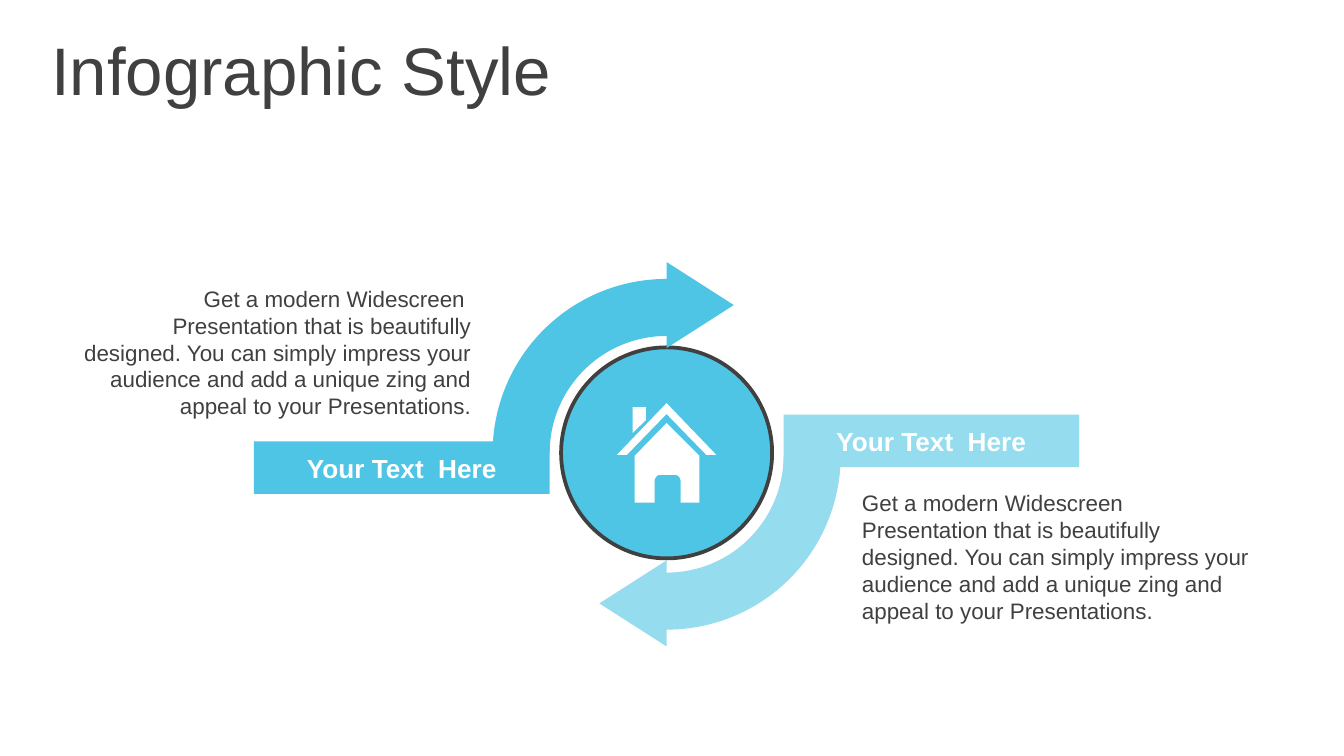
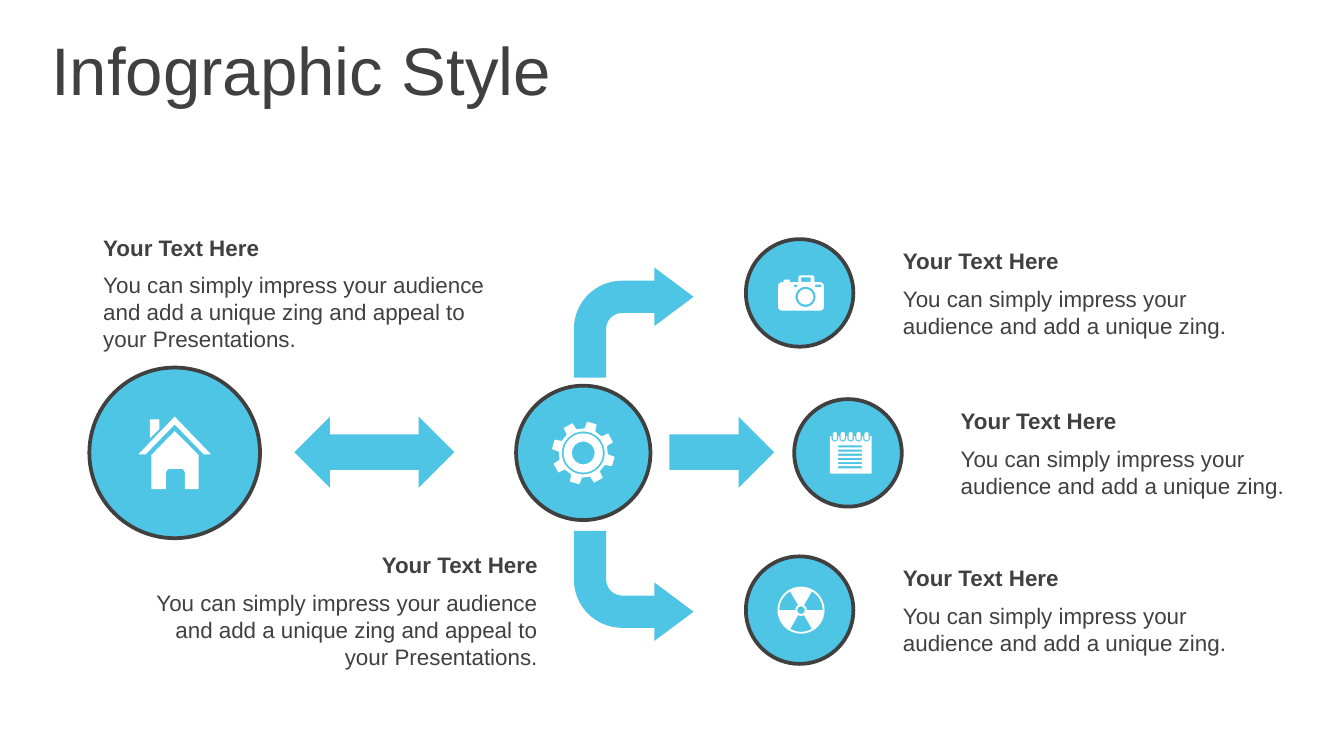
from dataclasses import dataclass
from math import cos, radians, sin

from pptx import Presentation, util as u
from pptx.dml.color import RGBColor
from pptx.enum import shapes, text
from pptx.oxml.ns import qn

KIND = shapes.MSO_SHAPE
SIDE = text.PP_ALIGN


@dataclass(frozen=True)
class Theme:
    font: str = "Arial"
    ink: str = "404040"
    main: str = "4FC5E5"
    pale: str = "95DCEF"
    white: str = "FFFFFF"
    title: int = 36
    label: int = 14
    body: int = 12
    rim: int = 2


T = Theme()
STORY = ("Get a modern Widescreen  Presentation that is beautifully designed. "
         "You can simply impress your audience and add a unique zing and "
         "appeal to your Presentations.")
LONG = ("You can simply impress your audience and add a unique zing "
        "and appeal to your Presentations.")
SHORT = "You can simply impress your audience and add a unique zing."


def rgb(code):
    return RGBColor.from_string(code)


def span(box):
    return [u.Inches(v) for v in box]


def mid(x, y, w, h):
    return x - w / 2, y - h / 2, w, h


def write(frame, words, size, color=T.ink, bold=False, side=SIDE.LEFT):
    frame.word_wrap = True
    frame.vertical_anchor = text.MSO_ANCHOR.MIDDLE
    frame.text = words
    para = frame.paragraphs[0]
    para.alignment = side
    for run in para.runs:
        font = run.font
        font.name, font.size, font.bold = T.font, u.Pt(size), bold
        font.color.rgb = rgb(color)


def words(slide, box, copy, size=T.body, **style):
    write(slide.shapes.add_textbox(*span(box)).text_frame, copy, size, **style)


def paint(item, color, rim=None):
    item.shadow.inherit = False
    item.fill.solid()
    item.fill.fore_color.rgb = rgb(color)
    if rim:
        item.line.color.rgb = rgb(rim)
        item.line.width = u.Pt(T.rim)
    else:
        item.line.fill.background()


def form(slide, kind, box, color=T.main, turn=0, adjust=(), rim=None):
    item = slide.shapes.add_shape(kind, *span(box))
    for i, value in enumerate(adjust):
        item.adjustments[i] = value
    item.rotation = turn
    paint(item, color, rim)
    return item


def arc(x, y, r, start=0, end=360, steps=32):
    turns = [radians(start + (end - start) * i / steps) for i in range(steps + 1)]
    return [(x + r * cos(a), y + r * sin(a)) for a in turns]


def rect(x, y, w, h):
    return [(x, y), (x + w, y), (x + w, y + h), (x, y + h)]


def pill(x, top, low, r):
    return arc(x, top + r, r, 180, 360, 12) + arc(x, low - r, r, 0, 180, 12)


def house():
    door = arc(.58, .78, .06, 0, -90, 8) + arc(.44, .78, .06, -90, -180, 8)
    wall = [(.5, .2), (.83, .53), (.83, 1), (.64, 1), *door,
            (.38, 1), (.18, 1), (.18, .53)]
    roof = [(.5, 0), (1, .52), (.9, .52), (.5, .11), (.1, .52), (0, .52)]
    flue = [(.16, .04), (.29, .04), (.29, .17), (.16, .3)]
    return [wall, roof, flue]


def gear():
    edge = []
    for i in range(8):
        a = 16 + 45 * i
        for r, turn in ((.39, -13), (.5, -9), (.5, 9), (.39, 13)):
            edge += arc(.5, .5, r, a + turn, a + turn, 1)[:1]
    return [edge] + [arc(.5, .5, r) for r in (.34, .31, .18)]


def camera():
    r = .08
    shell = [(.12, .15), (.12, .09), (.26, .09), (.26, .15), (.44, .15),
             (.44, .03), (.47, 0), (.76, 0), (.79, .03), (.79, .15)]
    for x, y, a in ((1 - r, .15 + r, -90), (1 - r, .77 - r, 0),
                    (r, .77 - r, 90), (r, .15 + r, 180)):
        shell += arc(x, y, r, a, a + 90, 8)
    return [shell, rect(.5, .04, .21, .1), rect(.35, .2, .06, .06),
            rect(.81, .2, .13, .06), arc(.6, .47, .22), arc(.6, .47, .17)]


def pad():
    rings = [.12 + .19 * i for i in range(5)]
    page = [(0, .1)]
    for x in rings:
        page += [(x - .08, .1), *arc(x, .15, .08, 180, 0, 12), (x + .08, .1)]
    page += [(1, .1), (1, 1), (0, 1)]
    lines = [rect(.2, .32 + .1 * i, .57, .05) for i in range(6)]
    return [page, *lines, *(pill(x, 0, .2, .05) for x in rings)]


def hazard():
    blades = [arc(.5, .5, .46, a - 30, a + 30) + arc(.5, .5, .12, a + 30, a - 30)
              for a in (90, 210, 330)]
    return [arc(.5, .5, .5), *blades, arc(.5, .5, .08)]


def icon(slide, x, y, size, loops):
    high = max(point[1] for loop in loops for point in loop)
    loops = [[(px * size * 1000, py * size * 1000) for px, py in loop]
             for loop in loops]
    pen = slide.shapes.build_freeform(*loops[0][0], scale=u.Inches(1) / 1000)
    for i, loop in enumerate(loops):
        if i:
            pen.move_to(*loop[0])
        pen.add_line_segments(loop[1:], close=True)
    left, top = x - size / 2, y - size * high / 2
    paint(pen.convert_to_shape(u.Inches(left), u.Inches(top)), T.white)


def badge(slide, x, y, wide, size, loops, shift=0):
    form(slide, KIND.OVAL, mid(x, y, wide, wide), rim=T.ink)
    icon(slide, x + shift, y, size, loops)


def page(deck):
    slide = deck.slides.add_slide(deck.slide_layouts[5])
    head = slide.shapes.title
    head.left, head.top, head.width, head.height = span((.28, .19, 9.72, .64))
    head.text_frame.auto_size = text.MSO_AUTO_SIZE.NONE
    write(head.text_frame, "Infographic Style", T.title)
    return slide


def wing(slide, x, y, sign, color, side):
    turn = 0 if sign > 0 else 180

    def at(dx, dy, w, h):
        return mid(x + sign * dx, y + sign * dy, w, h)

    form(slide, KIND.BLOCK_ARC, at(0, -.01, 2.59, 2.59), color, turn,
         (108, 162.867, .164))
    form(slide, KIND.RECTANGLE, at(-1.97, .1, 2.2, .39), color, turn)
    form(slide, KIND.ISOSCELES_TRIANGLE, at(.25, -1.11, .64, .5), color, turn + 90)
    words(slide, at(-1.97, .1, 1.97, .34), "Your Text  Here", T.label,
          color=T.white, bold=True, side=SIDE.CENTER)
    words(slide, at(-2.9, -.76, 3.09, 1.11), STORY, side=side)


def note(slide, box, copy, side=SIDE.LEFT):
    x, y, w, h = box
    words(slide, (x, y, w, .3), "Your Text Here", bold=True, side=side)
    words(slide, (x, y + .28, w, h - .28), copy, side=side)


def cycle(deck):
    slide = page(deck)
    x, y = 4.96, 3.38
    badge(slide, x, y - .01, 1.57, .74, house())
    wing(slide, x, y, 1, T.main, SIDE.RIGHT)
    wing(slide, x, y, -1, T.pale, SIDE.LEFT)


def branch(slide, x, y, gap, size, loops, shift=0):
    badge(slide, x, y, .8, size, loops, shift)
    note(slide, (x + gap, y - .39, 2.83, .78), SHORT)


def flow(deck):
    slide = page(deck)
    y = 3.37
    badge(slide, 1.3, y, 1.27, .54, house())
    badge(slide, 4.34, y, 1, .47, gear())
    form(slide, KIND.LEFT_RIGHT_ARROW, (2.19, 3.1, 1.19, .53))
    form(slide, KIND.RIGHT_ARROW, (4.98, 3.1, .78, .53))
    for top, flip in ((1.99, False), (3.95, True)):
        bend = form(slide, KIND.BENT_ARROW, (4.27, top, .89, .82),
                    adjust=(.292, .266, .356, .438))
        if flip:
            bend.element.spPr.find(qn("a:xfrm")).set("flipV", "1")
    note(slide, (.67, 1.69, 3.2, .98), LONG)
    note(slide, (.9, 4.05, 3.2, .99), LONG, SIDE.RIGHT)
    branch(slide, 5.95, y - 1.19, .67, .34, camera(), .01)
    branch(slide, 6.31, y, .74, .31, pad(), .02)
    branch(slide, 5.95, y + 1.17, .67, .35, hazard(), .01)


def main():
    deck = Presentation()
    deck.slide_width = u.Inches(10)
    deck.slide_height = deck.slide_width * 9 // 16
    cycle(deck)
    flow(deck)
    deck.save("out.pptx")


if __name__ == "__main__":
    main()
